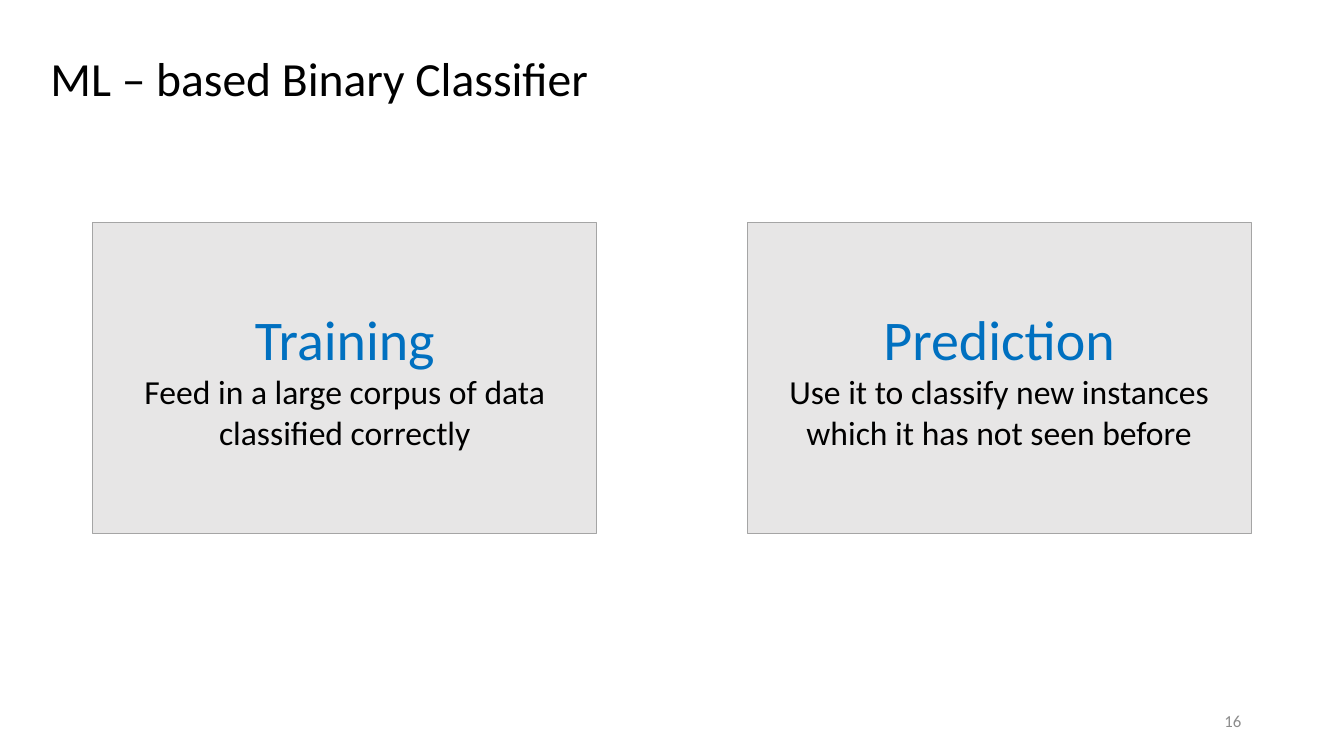
import pptx
import pptx.util
import pptx.dml.color
import pptx.enum.shapes
import pptx.enum.text

Inches, Pt = pptx.util.Inches, pptx.util.Pt
RGBColor = pptx.dml.color.RGBColor
PP_ALIGN = pptx.enum.text.PP_ALIGN
MIDDLE = pptx.enum.text.MSO_ANCHOR.MIDDLE

BLACK = RGBColor(0x00, 0x00, 0x00)
BLUE = RGBColor(0x00, 0x70, 0xC0)
PANEL = RGBColor(0xE7, 0xE6, 0xE6)
BORDER = RGBColor(0xA5, 0xA5, 0xA5)
GREY = RGBColor(0x8C, 0x8C, 0x8C)


def write(p, text, size, color, align):
    p.text = text
    p.alignment = align
    p.font.name = "Calibri"
    p.font.size = Pt(size)
    p.font.color.rgb = color


prs = pptx.Presentation()
prs.slide_width, prs.slide_height = Inches(13.33), Inches(7.5)
s = prs.slides.add_slide(prs.slide_layouts[5])

title = s.shapes.title
title.left, title.top = Inches(0.4), Inches(0)
title.width, title.height = Inches(11.49), Inches(1.6)
tf = title.text_frame
tf.auto_size = pptx.enum.text.MSO_AUTO_SIZE.NONE
tf.vertical_anchor = MIDDLE
write(tf.paragraphs[0], "ML – based Binary Classifier", 34, BLACK, PP_ALIGN.LEFT)
tf.paragraphs[0].line_spacing = 0.9

phases = [
    ("Training", "Feed in a large corpus of data classified correctly"),
    ("Prediction", "Use it to classify new instances which it has not seen before"),
]
left, pitch = 0.92, 6.49
for col, (phase, detail) in enumerate(phases):
    sp = s.shapes.add_shape(
        pptx.enum.shapes.MSO_SHAPE.RECTANGLE,
        Inches(left + col * pitch), Inches(2.21), Inches(5), Inches(3.08))
    sp.shadow.inherit = False
    sp.fill.solid()
    sp.fill.fore_color.rgb = PANEL
    sp.line.color.rgb = BORDER
    sp.line.width = Pt(0.5)
    tf = sp.text_frame
    tf.word_wrap = True
    tf.vertical_anchor = MIDDLE
    write(tf.paragraphs[0], phase, 40, BLUE, PP_ALIGN.CENTER)
    write(tf.add_paragraph(), detail, 24, BLACK, PP_ALIGN.CENTER)

number = s.shapes.add_textbox(Inches(9.41), Inches(6.95), Inches(3), Inches(0.4))
tf = number.text_frame
tf.word_wrap = True
tf.vertical_anchor = MIDDLE
write(tf.paragraphs[0], "16", 12, GREY, PP_ALIGN.RIGHT)

prs.save("out.pptx")
